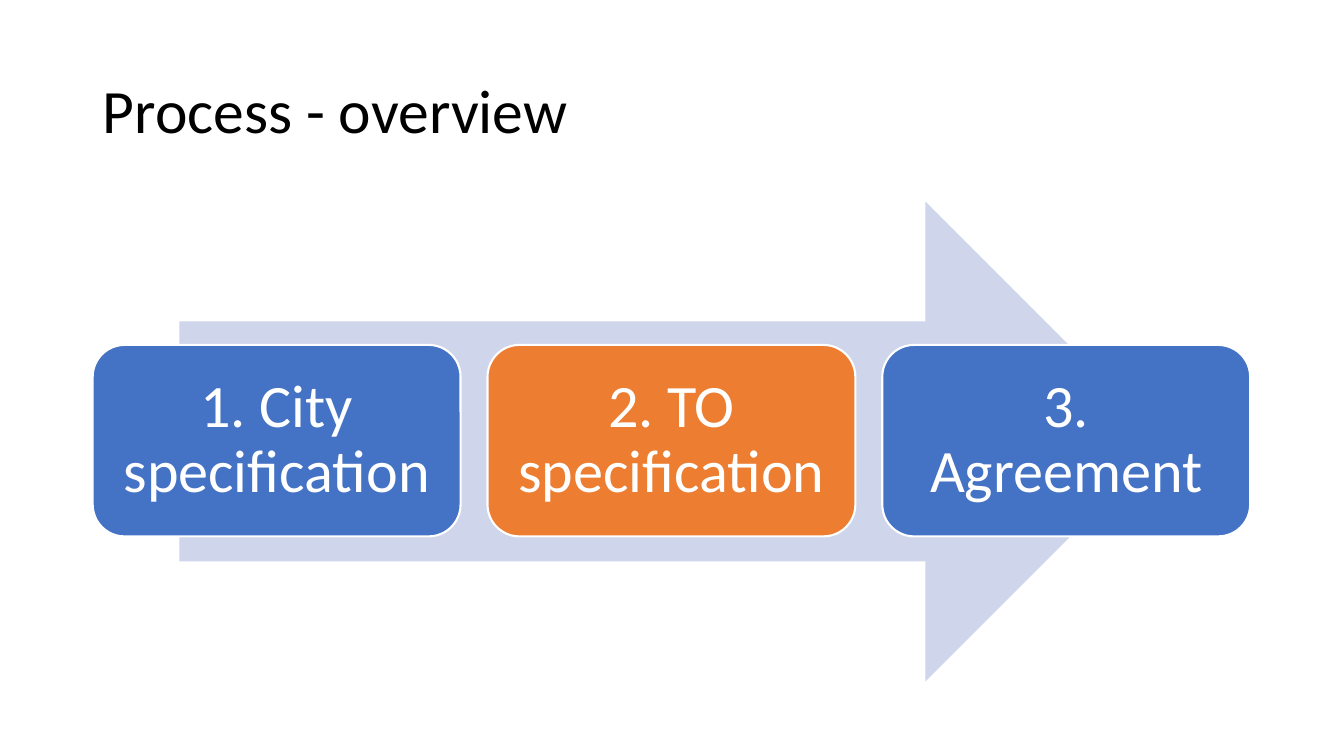
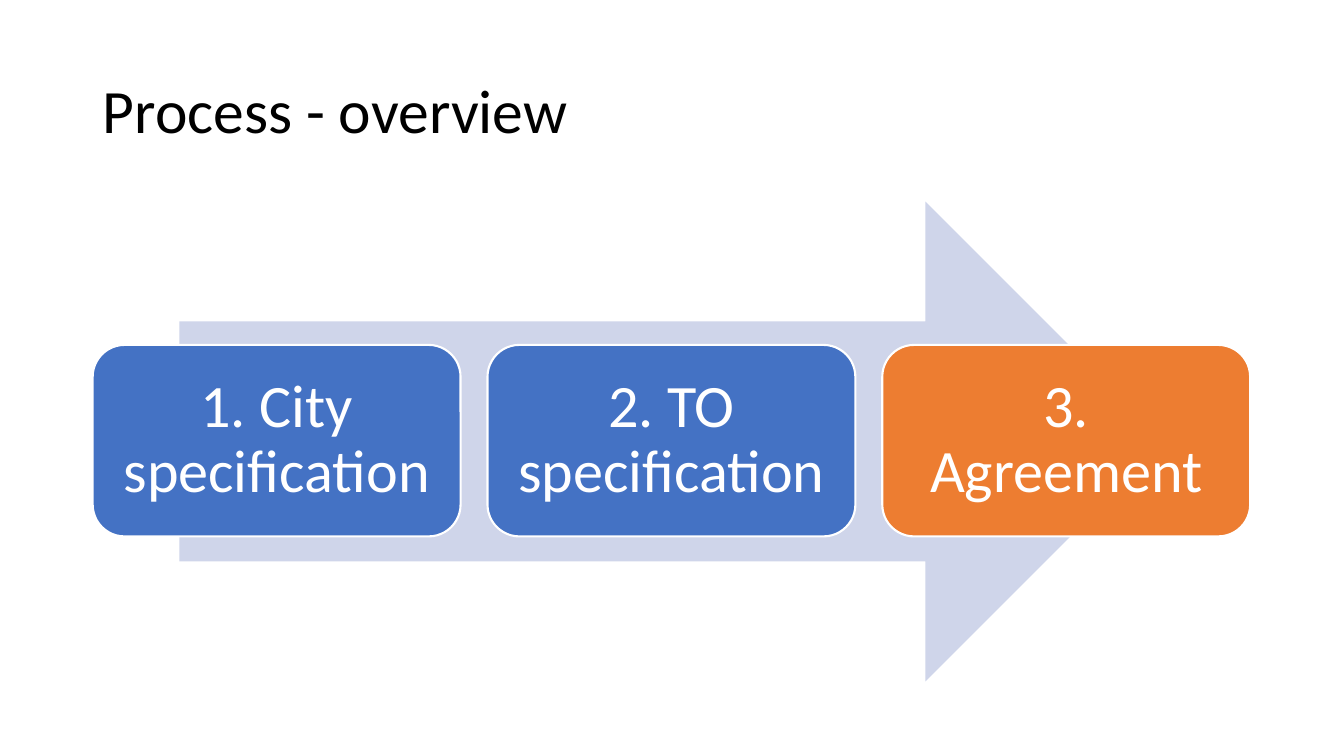
"""Build two process overview slides, each highlighting one step of an arrow diagram."""
import pptx
import pptx.dml.color
import pptx.enum.shapes
import pptx.enum.text
import pptx.util

Pt = pptx.util.Pt
SHAPE = pptx.enum.shapes.MSO_SHAPE
ALIGN = pptx.enum.text.PP_ALIGN


def rgb(value):
    return pptx.dml.color.RGBColor.from_string(value)


def write(sp, text, size, color, align, inset=None):
    tf = sp.text_frame
    tf.word_wrap = True
    tf.auto_size = pptx.enum.text.MSO_AUTO_SIZE.NONE
    tf.vertical_anchor = pptx.enum.text.MSO_ANCHOR.MIDDLE
    if inset is not None:
        tf.margin_left = tf.margin_right = Pt(inset)
        tf.margin_top = tf.margin_bottom = Pt(inset)
    p = tf.paragraphs[0]
    p.alignment = align
    p.line_spacing = 0.9
    r = p.add_run()
    r.text = text
    r.font.name = Deck.FONT
    r.font.size = Pt(size)
    r.font.color.rgb = rgb(color)


class Deck:
    FONT = "Calibri"
    BLACK = "000000"
    WHITE = "FFFFFF"
    BLUE = "4472C4"
    ORANGE = "ED7D31"
    PALE = "CFD5EA"
    LEFT = 66.2

    def __init__(self):
        self.prs = pptx.Presentation()
        self.prs.slide_width = Pt(960)
        self.prs.slide_height = Pt(540)
        self.s = None

    def slide(self, title):
        self.s = self.prs.slides.add_slide(self.prs.slide_layouts[5])
        sp = self.s.shapes.title
        sp.left, sp.top = Pt(self.LEFT), Pt(28.8)
        sp.width, sp.height = Pt(828), Pt(104.4)
        write(sp, title, size=44, color=self.BLACK, align=ALIGN.LEFT)

    def shape(self, kind, x, y, w, h, fill, line=None):
        sp = self.s.shapes.add_shape(kind, Pt(x), Pt(y), Pt(w), Pt(h))
        sp.shadow.inherit = False
        sp.fill.solid()
        sp.fill.fore_color.rgb = rgb(fill)
        if line:
            sp.line.color.rgb = rgb(line)
            sp.line.width = Pt(1.5)
        else:
            sp.line.fill.background()
        return sp

    def process(self, steps, current):
        self.shape(SHAPE.RIGHT_ARROW, 128.2, 144, 704.2, 342.7, self.PALE)
        width, gap = 262.8, 19.2
        for i, step in enumerate(steps):
            fill = self.ORANGE if i == current else self.BLUE
            x = self.LEFT + i * (width + gap)
            sp = self.shape(SHAPE.ROUNDED_RECTANGLE, x, 246.4, width, 136.8, fill, self.WHITE)
            write(sp, step, size=43, color=self.WHITE, align=ALIGN.CENTER, inset=12.9)


STEPS = ["1. City specification", "2. TO specification", "3. Agreement"]

deck = Deck()
for current in (1, 2):
    deck.slide("Process - overview")
    deck.process(STEPS, current)
deck.prs.save("out.pptx")
